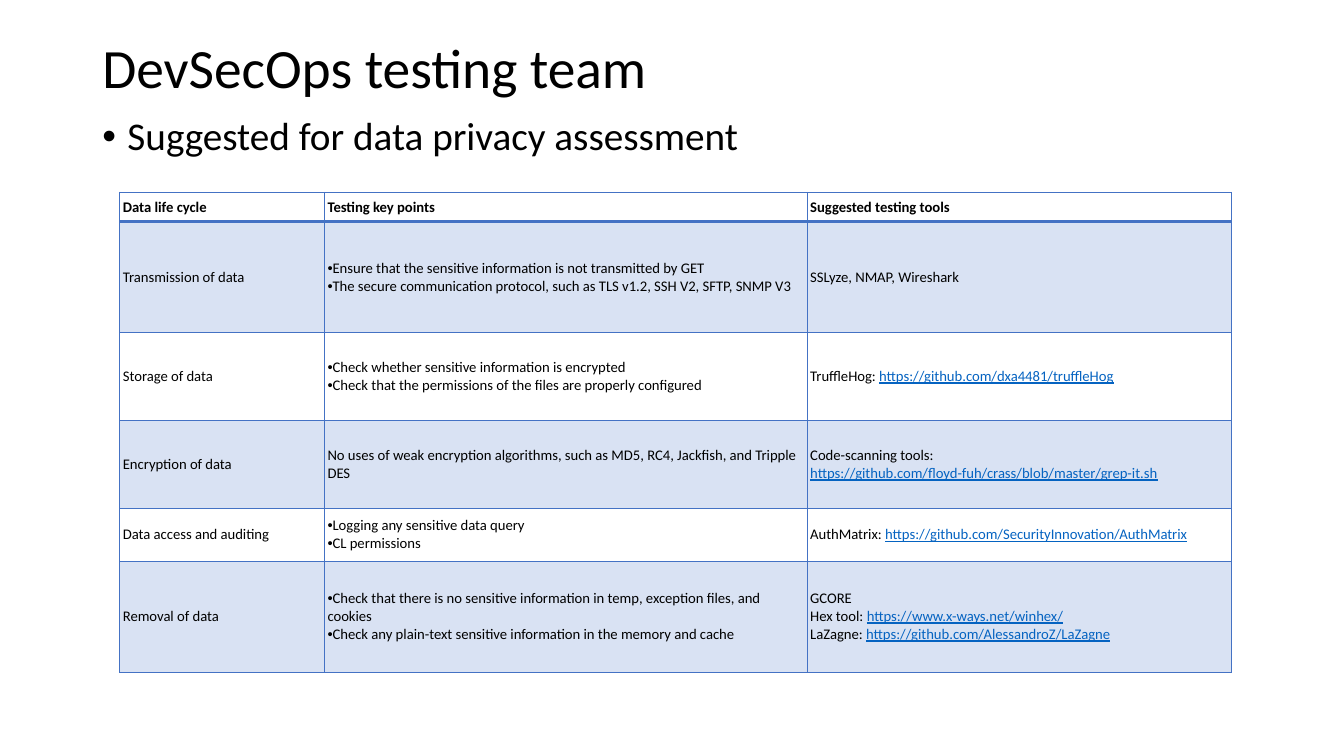
from lxml import etree
from pptx import Presentation
from pptx.dml.color import RGBColor
from pptx.enum.text import MSO_ANCHOR
from pptx.oxml.ns import qn
from pptx.util import Pt

MIDDLE = MSO_ANCHOR.MIDDLE
TOP = MSO_ANCHOR.TOP
COLORS = {"text": "000000", "link": "0563C1", "accent": "4472C4"}
FONT = "Calibri"

COLS = [146.2, 344.8, 303.1]
HEIGHTS = [21, 79.3, 62.7, 62.7, 37.8, 79.3]
ROWS = [
    (["Data life cycle"], ["Testing key points"], ["Suggested testing tools"]),
    (
        ["Transmission of data"],
        [
            "•Ensure that the sensitive information is not transmitted by GET",
            "•The secure communication protocol, such as TLS v1.2, SSH V2, SFTP, SNMP V3",
        ],
        ["SSLyze, NMAP, Wireshark"],
    ),
    (
        ["Storage of data"],
        [
            "•Check whether sensitive information is encrypted",
            "•Check that the permissions of the files are properly configured",
        ],
        ["TruffleHog: https://github.com/dxa4481/truffleHog"],
    ),
    (
        ["Encryption of data"],
        ["No uses of weak encryption algorithms, such as MD5, RC4, Jackfish, and Tripple DES"],
        ["Code-scanning tools: https://github.com/floyd-fuh/crass/blob/master/grep-it.sh"],
    ),
    (
        ["Data access and auditing"],
        ["•Logging any sensitive data query", "•CL permissions"],
        ["AuthMatrix: https://github.com/SecurityInnovation/AuthMatrix"],
    ),
    (
        ["Removal of data"],
        [
            "•Check that there is no sensitive information in temp, exception files, and cookies",
            "•Check any plain-text sensitive information in the memory and cache",
        ],
        [
            "GCORE",
            "Hex tool: https://www.x-ways.net/winhex/",
            "LaZagne: https://github.com/AlessandroZ/LaZagne",
        ],
    ),
]


def add_run(para, text, size, color="text", bold=False, line=False):
    run = para.add_run()
    run.text = text
    font = run.font
    font.name, font.size = FONT, Pt(size)
    font.bold, font.underline = bold, line
    font.color.rgb = RGBColor.from_string(COLORS[color])


def write(frame, lines, size, bold=False, space=1.0, indent=0):
    for i, line in enumerate(lines):
        para = frame.paragraphs[0] if i == 0 else frame.add_paragraph()
        para.line_spacing = space
        if line.startswith("•"):
            props = para._p.get_or_add_pPr()
            props.set("marL", str(Pt(indent)))
            props.set("indent", str(-Pt(indent)))
            etree.SubElement(props, qn("a:buFont"), typeface="Arial")
            etree.SubElement(props, qn("a:buChar"), char="•")
            line = line[1:]
        label, mark, rest = line.partition("https://")
        add_run(para, label, size, bold=bold)
        if mark:
            add_run(para, mark + rest, size, color="link", line=True)


class Deck:
    def __init__(self):
        self.prs = Presentation()
        self.prs.slide_width, self.prs.slide_height = Pt(960), Pt(540)
        self.slide = self.prs.slides.add_slide(self.prs.slide_layouts[6])

    def text(self, lines, x, y, w, h, anchor=TOP, **style):
        frame = self.slide.shapes.add_textbox(Pt(x), Pt(y), Pt(w), Pt(h)).text_frame
        frame.word_wrap = True
        frame.vertical_anchor = anchor
        write(frame, lines, **style)

    def border(self, cell, widths):
        props = cell._tc.get_or_add_tcPr()
        for i, (side, width) in enumerate(zip("LRTB", widths)):
            edge = etree.Element(qn("a:ln" + side), w=str(Pt(width)))
            fill = etree.SubElement(edge, qn("a:solidFill"))
            etree.SubElement(fill, qn("a:srgbClr"), val=COLORS["accent"])
            props.insert(i, edge)

    def tint(self, cell):
        cell.fill.solid()
        cell.fill.fore_color.rgb = RGBColor.from_string(COLORS["accent"])
        color = cell._tc.tcPr.find(".//" + qn("a:srgbClr"))
        etree.SubElement(color, qn("a:alpha"), val="20000")

    def table(self, rows, x, y, cols, heights, size):
        frame = self.slide.shapes.add_table(
            len(rows), len(cols), Pt(x), Pt(y), Pt(sum(cols)), Pt(sum(heights)))
        table = frame.table
        table.first_row = table.horz_banding = False
        for col, width in zip(table.columns, cols):
            col.width = Pt(width)
        for r, row in enumerate(rows):
            table.rows[r].height = Pt(heights[r])
            for c, lines in enumerate(row):
                cell = table.cell(r, c)
                cell.margin_left = cell.margin_right = Pt(2.2)
                cell.margin_top = cell.margin_bottom = Pt(2.2)
                cell.vertical_anchor = MIDDLE
                write(cell.text_frame, lines, size, bold=r == 0)
                if r % 2:
                    self.tint(cell)
                else:
                    cell.fill.background()
                self.border(cell, (1, 1, 2 if r == 1 else 1, 2 if r == 0 else 1))


def main():
    deck = Deck()
    deck.text(["DevSecOps testing team"], 66, 28.8, 828, 43.2,
              anchor=MIDDLE, size=39.6, space=0.9)
    deck.text(["•Suggested for data privacy assessment"], 66, 80, 828, 407,
              size=28, space=0.9, indent=18)
    deck.table(ROWS, 85.6, 137.4, COLS, HEIGHTS, 10.5)
    deck.prs.save("out.pptx")


if __name__ == "__main__":
    main()
